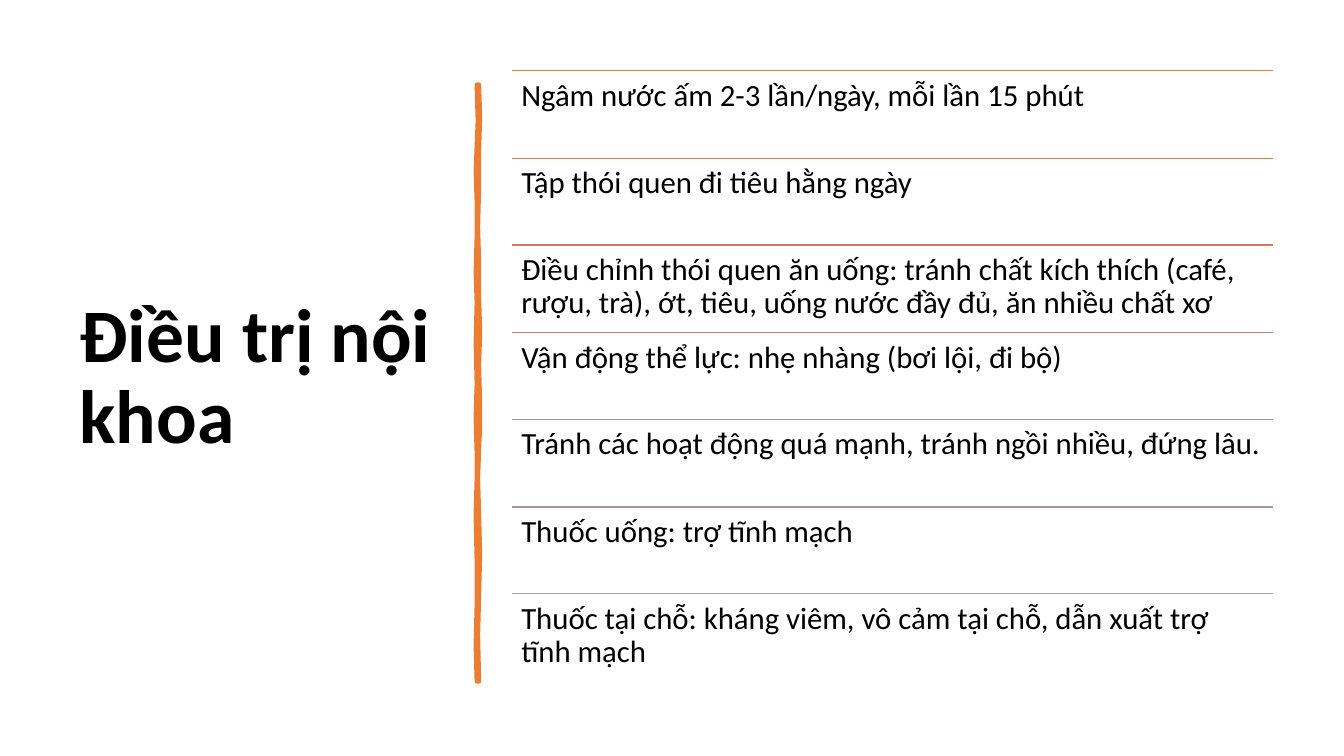
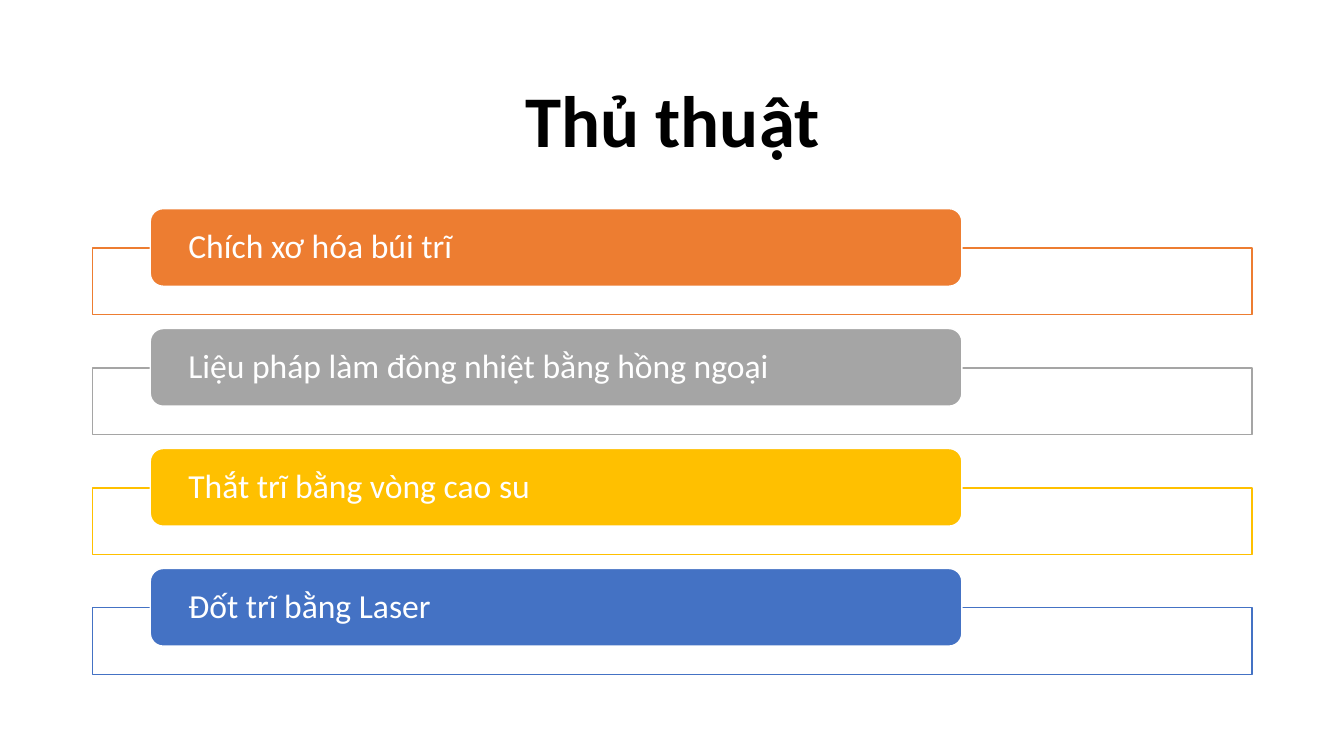
import pptx
import pptx.dml.color
import pptx.enum.shapes
import pptx.enum.text
import pptx.oxml
import pptx.util

COLORS = {
    "black": "000000", "white": "FFFFFF",
    "orange": "ED7D31", "copper": "DE7A47", "clay": "D17B5C", "rose": "C48170",
    "mauve": "B98A82", "ash": "AE9694", "gray": "A5A5A5",
    "gold": "FFC000", "blue": "4472C4",
}
PX = 9144
ANCHOR = pptx.enum.text.MSO_ANCHOR
ALIGN = pptx.enum.text.PP_ALIGN
SHAPE = pptx.enum.shapes.MSO_SHAPE

ADVICE = [
    ("orange", "Ngâm nước ấm 2-3 lần/ngày, mỗi lần 15 phút"),
    ("copper", "Tập thói quen đi tiêu hằng ngày"),
    ("clay", "Điều chỉnh thói quen ăn uống: tránh chất kích thích (café, rượu, trà), "
             "ớt, tiêu, uống nước đầy đủ, ăn nhiều chất xơ"),
    ("rose", "Vận động thể lực: nhẹ nhàng (bơi lội, đi bộ)"),
    ("mauve", "Tránh các hoạt động quá mạnh, tránh ngồi nhiều, đứng lâu."),
    ("ash", "Thuốc uống: trợ tĩnh mạch"),
    ("gray", "Thuốc tại chỗ: kháng viêm, vô cảm tại chỗ, dẫn xuất trợ tĩnh mạch"),
]
PROCEDURES = [
    ("orange", "Chích xơ hóa búi trĩ"),
    ("gray", "Liệu pháp làm đông nhiệt bằng hồng ngoại"),
    ("gold", "Thắt trĩ bằng vòng cao su"),
    ("blue", "Đốt trĩ bằng Laser"),
]
BRUSH_RIGHT = [(475, 84), (476, 115), (475, 150), (475, 185), (474, 225), (475, 260),
               (475, 294), (476, 330), (475, 362), (476, 400), (476, 425), (475, 445),
               (474, 475), (475, 510), (476, 550), (475, 590), (474, 630), (475, 676)]
BRUSH_LEFT = [(473, 676), (472, 640), (473, 600), (473, 557), (472, 510), (473, 475),
              (473, 450), (472, 415), (473, 380), (472, 340), (473, 300), (472, 270),
              (473, 235), (473, 200), (472, 170), (474, 120), (473, 84)]


def rgb(name):
    """Return the named colour."""
    return pptx.dml.color.RGBColor.from_string(COLORS[name])


class Pages:
    """Hold the deck, its style and the current page."""

    def __init__(self, width, height):
        """Start an empty deck."""
        self.deck = pptx.Presentation()
        self.deck.slide_width = width * PX
        self.deck.slide_height = height * PX
        self.page = None

    def label(self, box, text, size, color, margins, anchor, align=ALIGN.LEFT, bold=False):
        """Put one formatted paragraph into a shape."""
        frame = box.text_frame
        frame.text = text
        frame.word_wrap = True
        frame.auto_size = pptx.enum.text.MSO_AUTO_SIZE.NONE
        frame.vertical_anchor = anchor
        frame.margin_left = frame.margin_right = margins[0] * PX
        frame.margin_top = frame.margin_bottom = margins[1] * PX
        para = frame.paragraphs[0]
        para.alignment = align
        para.line_spacing = 0.9
        para.font.name = "Calibri"
        para.font.size = pptx.util.Pt(size)
        para.font.bold = bold
        para.font.color.rgb = rgb(color)

    def start(self, title, left, top, width, height, size, align=ALIGN.LEFT):
        """Add a page with its title."""
        self.page = self.deck.slides.add_slide(self.deck.slide_layouts[5])
        box = self.page.shapes.title
        box.left, box.top, box.width, box.height = (n * PX for n in (left, top, width, height))
        self.label(box, title, size, "black", (10, 5), ANCHOR.MIDDLE, align, True)

    def paint(self, shape, fill, line, weight=1):
        """Set fill and outline without a shadow."""
        shape.shadow.inherit = False
        shape.fill.solid()
        shape.fill.fore_color.rgb = rgb(fill)
        shape.line.color.rgb = rgb(line)
        shape.line.width = pptx.util.Pt(weight)

    def block(self, kind, left, top, width, height, fill, line):
        """Add a filled preset shape."""
        shape = self.page.shapes.add_shape(kind, left * PX, top * PX, width * PX, height * PX)
        self.paint(shape, fill, line)
        return shape

    def rule(self, left, top, width, color):
        """Add a horizontal line."""
        connector = self.page.shapes.add_connector(
            pptx.enum.shapes.MSO_CONNECTOR.STRAIGHT,
            left * PX, top * PX, (left + width) * PX, top * PX)
        connector.line.color.rgb = rgb(color)
        connector.line.width = pptx.util.Pt(1)
        connector._element.spPr.append(pptx.oxml.parse_xml(
            '<a:effectLst xmlns:a="http://schemas.openxmlformats.org/drawingml/2006/main"/>'))

    def note(self, text, left, top, width, height):
        """Add a text box."""
        box = self.page.shapes.add_textbox(left * PX, top * PX, width * PX, height * PX)
        self.label(box, text, 22, "black", (9, 9), ANCHOR.TOP)

    def brush(self, points, color):
        """Add a closed hand-drawn stroke."""
        builder = self.page.shapes.build_freeform(*points[0], scale=PX)
        builder.add_line_segments(points[1:], close=True)
        self.paint(builder.convert_to_shape(), color, color, 3.25)


def medical_page(pages):
    """Build the page of ruled advice rows."""
    pages.start("Điều trị nội khoa", 69, 70, 374, 611, 54)
    pages.brush(BRUSH_RIGHT + BRUSH_LEFT, "orange")
    for index, (color, text) in enumerate(ADVICE):
        top = 70 + (173 * index + 1) // 2
        pages.rule(508, top, 755, color)
        pages.note(text, 508, top, 755, 86)


def procedure_page(pages):
    """Build the page of labelled frames."""
    pages.start("Thủ thuật", 92, 61, 1150, 124, 52, ALIGN.CENTER)
    for index, (color, text) in enumerate(PROCEDURES):
        top = 207 + 119 * index
        pages.block(SHAPE.RECTANGLE, 92, top + 39, 1150, 66, "white", color)
        tab = pages.block(SHAPE.ROUNDED_RECTANGLE, 149, top, 805, 77, color, "white")
        pages.label(tab, text, 24, "white", (34, 0), ANCHOR.MIDDLE)


def main():
    """Build and save the deck."""
    pages = Pages(1333, 750)
    medical_page(pages)
    procedure_page(pages)
    pages.deck.save("out.pptx")


if __name__ == "__main__":
    main()
